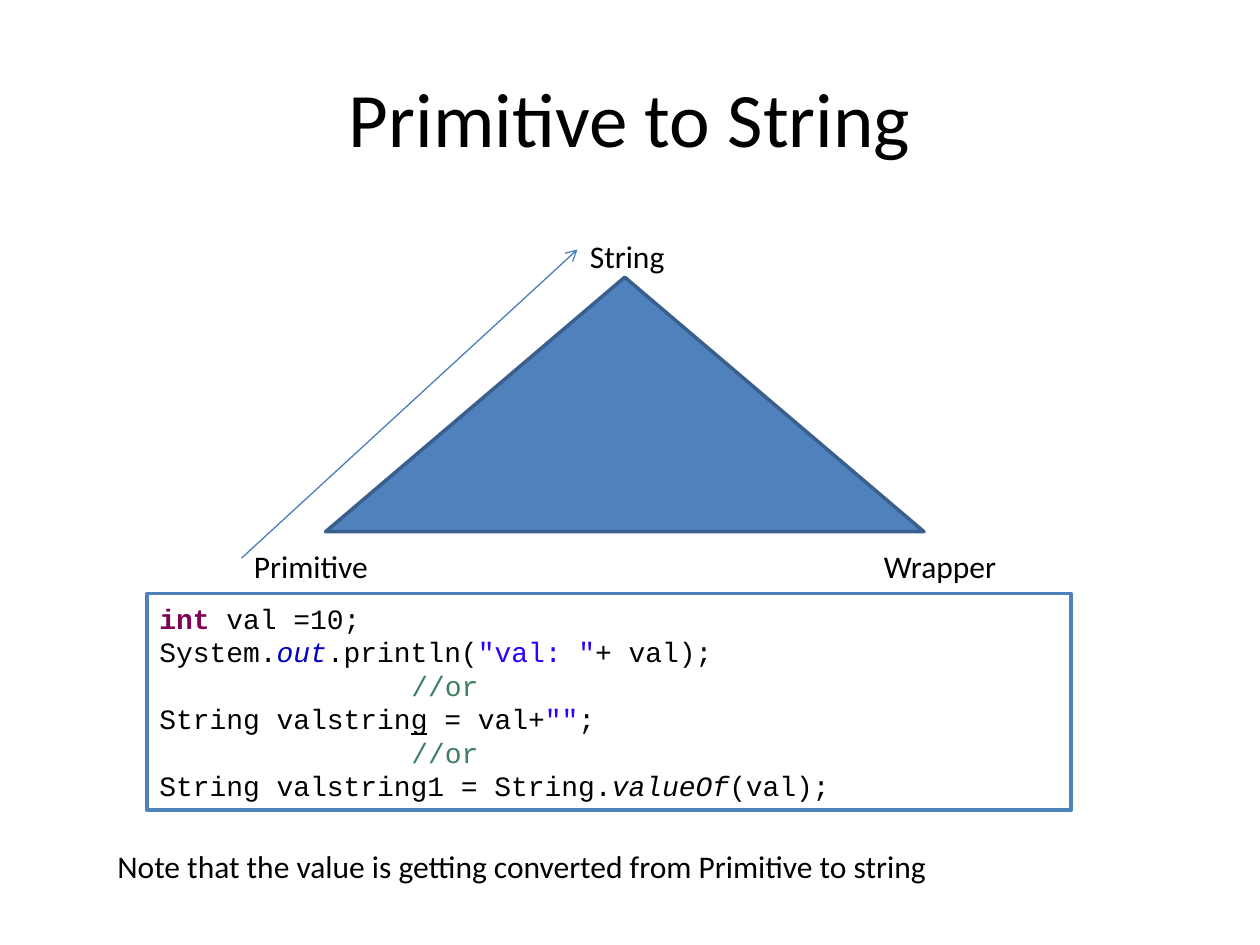
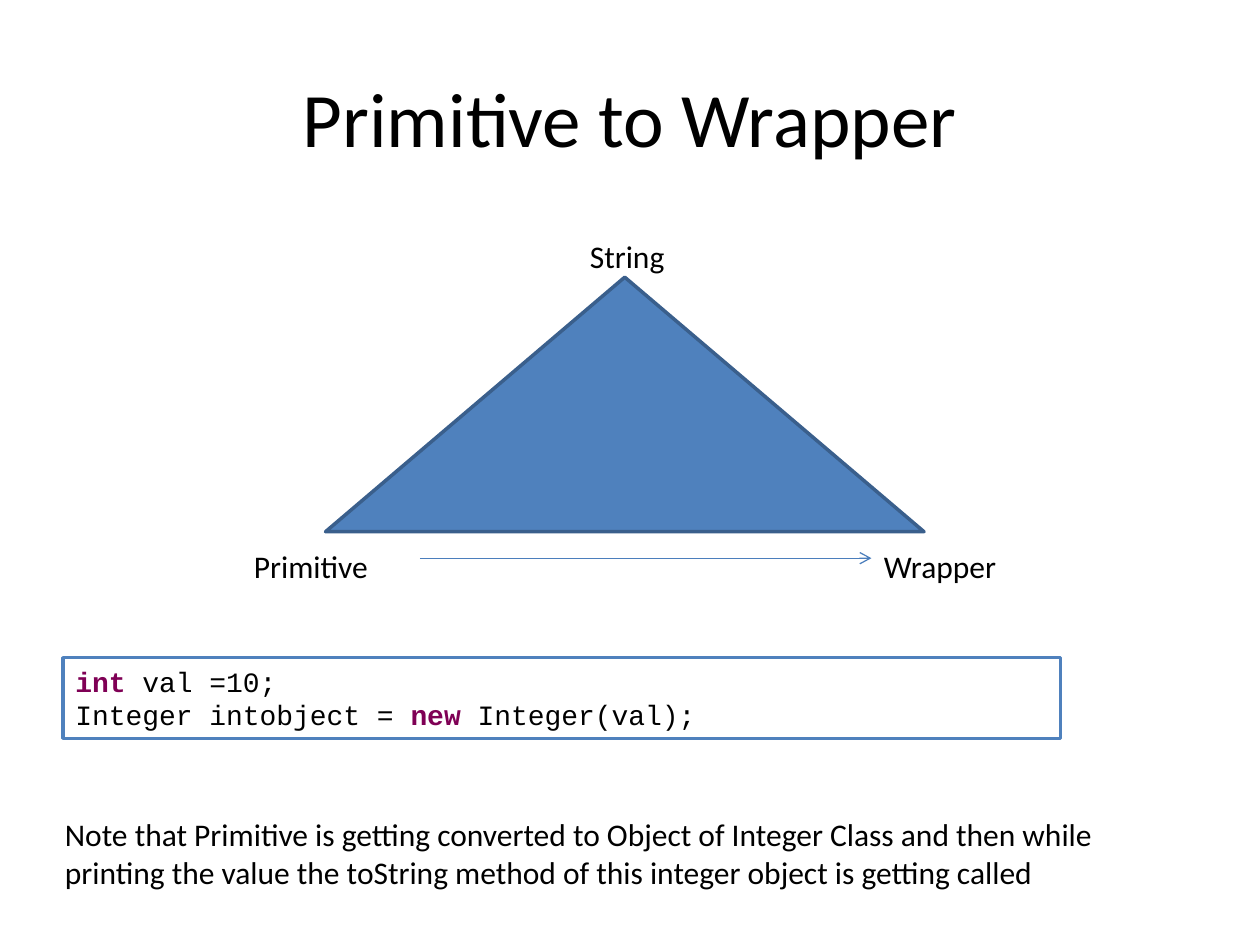
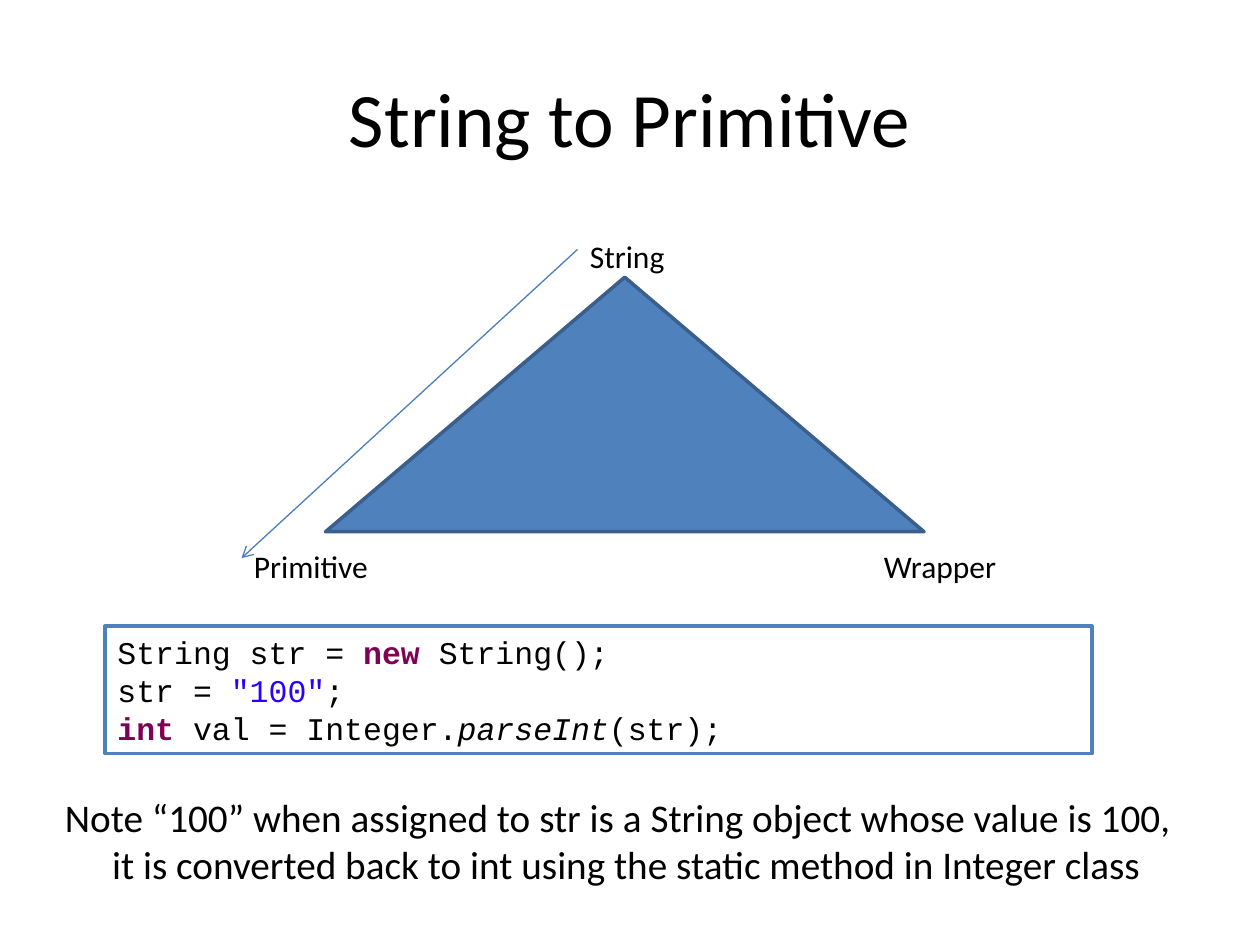
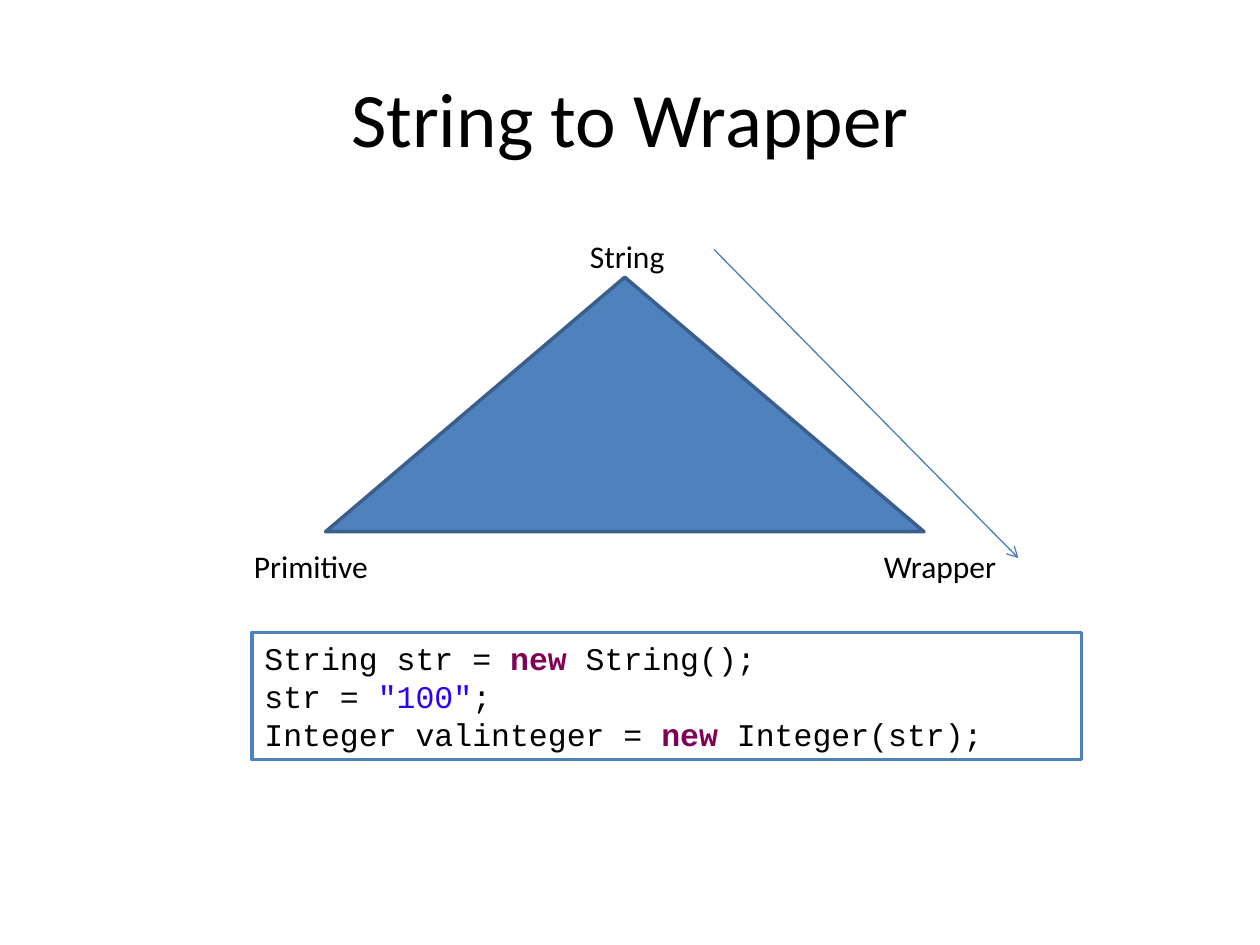
import pptx
import pptx.util
import pptx.dml.color
import pptx.enum.shapes
import pptx.enum.text
import pptx.oxml
import pptx.oxml.ns

Pt = pptx.util.Pt
RGB = pptx.dml.color.RGBColor.from_string
Align = pptx.enum.text.PP_ALIGN
Anchor = pptx.enum.text.MSO_ANCHOR
Fit = pptx.enum.text.MSO_AUTO_SIZE
Preset = pptx.enum.shapes.MSO_SHAPE

# Theme: colours, type sizes and span styles
theme = {
    "fill": RGB("4F81BD"), "edge": RGB("3A5F8C"), "arrow": RGB("4B7EBC"),
    "paper": RGB("FFFFFF"), "ink": RGB("000000"),
    "text font": "Calibri", "code font": "Courier New",
    "title": 44, "label": 18, "outline": Pt(2), "thin": Pt(0.75),
    "styles": {
        "plain": {},
        "keyword": {"bold": True, "color": RGB("7F0055")},
        "string": {"color": RGB("2A00FF")},
        "comment": {"color": RGB("3F7F5F")},
        "field": {"italic": True, "color": RGB("0000C0")},
        "static": {"italic": True},
        "warned": {"underline": True},
    },
}

# Page grid: 120 columns by 75 rows
deck = pptx.Presentation()
deck.slide_width = pptx.util.Inches(10)
deck.slide_height = pptx.util.Inches(7.5)
column = deck.slide_width / 120
row = deck.slide_height / 75


def place(left, top, width, height):
    return [round(left * column), round(top * row), round(width * column), round(height * row)]


def write(box, lines, size, font, align=Align.LEFT, anchor=Anchor.TOP, fit=Fit.SHAPE_TO_FIT_TEXT):
    """Fill a box with lines; each line is a list of (text, style) spans."""
    frame = box.text_frame
    for name, value in {"word_wrap": True, "auto_size": fit, "vertical_anchor": anchor}.items():
        setattr(frame, name, value)
    for number, line in enumerate(lines):
        para = frame.add_paragraph() if number else frame.paragraphs[0]
        para.alignment = align
        for text, style in line:
            span = para.add_run()
            span.text = text
            look = {"size": Pt(size), "name": font, "color": theme["ink"], **theme["styles"][style]}
            span.font.color.rgb = look.pop("color")
            for name, value in look.items():
                setattr(span.font, name, value)


# Content of the pages
int_value = [("int ", "keyword"), ("val =10;", "plain")]
or_line = [("//or", "comment")]
new_string = [
    [("String str = ", "plain"), ("new", "keyword"), (" String();", "plain")],
    [("str = ", "plain"), ('"100"', "string"), (";", "plain")],
]
pages = [
    {
        "title": "Primitive to String",
        "arrow": (23, 44.3, 55, 19.8),
        "code at": (14, 47.1, 88, 17.2), "code size": 16,
        "code": [
            int_value,
            [("System.", "plain"), ("out", "field"), (".println(", "plain"),
             ('"val: "', "string"), ("+ val);", "plain")],
            or_line,
            [("String valstrin", "plain"), ("g", "warned"), (" = val+", "plain"),
             ('""', "string"), (";", "plain")],
            or_line,
            [("String valstring1 = String.", "plain"), ("valueOf", "static"), ("(val);", "plain")],
        ],
        "note": "Note that the value is getting converted from Primitive to string",
        "note at": (10, 66.7, 102, 4), "note size": 18,
    },
    {
        "title": "Primitive to Wrapper",
        "arrow": (40, 44.3, 83, 44.3),
        "code at": (6, 52.2, 95, 6.4), "code size": 16,
        "code": [
            int_value,
            [("Integer intobject = ", "plain"), ("new", "keyword"), (" Integer(val);", "plain")],
        ],
        "note": "Note that Primitive is getting converted to Object of Integer Class and then while "
                "printing the value the toString method of this integer object is getting called",
        "note at": (5, 64.2, 110, 7.1), "note size": 18,
    },
    {
        "title": "String to Primitive",
        "arrow": (55, 19.8, 23, 44.3),
        "code at": (10, 49.7, 94, 10.1), "code size": 18,
        "code": new_string + [
            [("int ", "keyword"), ("val = Integer.", "plain"), ("parseInt", "static"),
             ("(str);", "plain")],
        ],
        "note": "Note “100” when assigned to str is a String object whose value is 100, "
                "it is converted back to int using the static method in Integer class",
        "note at": (5, 62.5, 108, 7.5), "note size": 22.4, "hanging": 4.5,
    },
    {
        "title": "String to Wrapper",
        "arrow": (68, 19.8, 97, 44.3),
        "code at": (24, 50.2, 79, 10.1), "code size": 18,
        "code": new_string + [
            [("Integer valinteger = ", "plain"), ("new", "keyword"), (" Integer(str);", "plain")],
        ],
    },
]
corners = {"Primitive": (23, 42.9, 17, 3), "Wrapper": (83, 42.9, 14, 3), "String": (55, 18.3, 13, 3)}

for page in pages:
    slide = deck.slides.add_slide(deck.slide_layouts[6])

    # Title
    title = slide.shapes.add_textbox(*place(6, 3, 108, 12.5))
    write(title, [[(page["title"], "plain")]], theme["title"], theme["text font"],
          Align.CENTER, Anchor.MIDDLE, Fit.NONE)

    # Triangle with a label at each corner
    diagram = slide.shapes.add_group_shape()
    triangle = diagram.shapes.add_shape(Preset.ISOSCELES_TRIANGLE, *place(31, 22, 57, 20.2))
    for label, spot in corners.items():
        write(diagram.shapes.add_textbox(*place(*spot)), [[(label, "plain")]],
              theme["label"], theme["text font"])

    # Arrow along the conversion
    start_x, start_y, end_x, end_y = page["arrow"]
    arrow = slide.shapes.add_connector(
        pptx.enum.shapes.MSO_CONNECTOR.STRAIGHT,
        *place(start_x, start_y, end_x, end_y))
    arrow.line.color.rgb = theme["arrow"]
    arrow.line.width = theme["thin"]
    tip = pptx.oxml.parse_xml('<a:tailEnd %s type="arrow"/>' % pptx.oxml.ns.nsdecls("a"))
    arrow.line._get_or_add_ln().append(tip)
    flat = pptx.oxml.parse_xml("<a:effectLst %s/>" % pptx.oxml.ns.nsdecls("a"))
    arrow._element.spPr.append(flat)

    # Code box, with comments two inches in
    code = slide.shapes.add_shape(Preset.RECTANGLE, *place(*page["code at"]))
    write(code, page["code"], page["code size"], theme["code font"], anchor=Anchor.MIDDLE)
    for para, line in zip(code.text_frame.paragraphs, page["code"]):
        if line is or_line:
            para._p.get_or_add_pPr().set("marL", str(round(24 * column)))

    # Fill and outline of the triangle and the code box
    for shape, fill, edge in ((triangle, "fill", "edge"), (code, "paper", "fill")):
        shape.shadow.inherit = False
        shape.fill.solid()
        shape.fill.fore_color.rgb = theme[fill]
        shape.line.color.rgb = theme[edge]
        shape.line.width = theme["outline"]

    # Note below the code
    if "note" in page:
        note = slide.shapes.add_textbox(*place(*page["note at"]))
        write(note, [[(page["note"], "plain")]], page["note size"], theme["text font"])
        if "hanging" in page:
            indent = round(page["hanging"] * column)
            props = note.text_frame.paragraphs[0]._p.get_or_add_pPr()
            props.set("marL", str(indent))
            props.set("indent", str(-indent))

deck.save("out.pptx")
